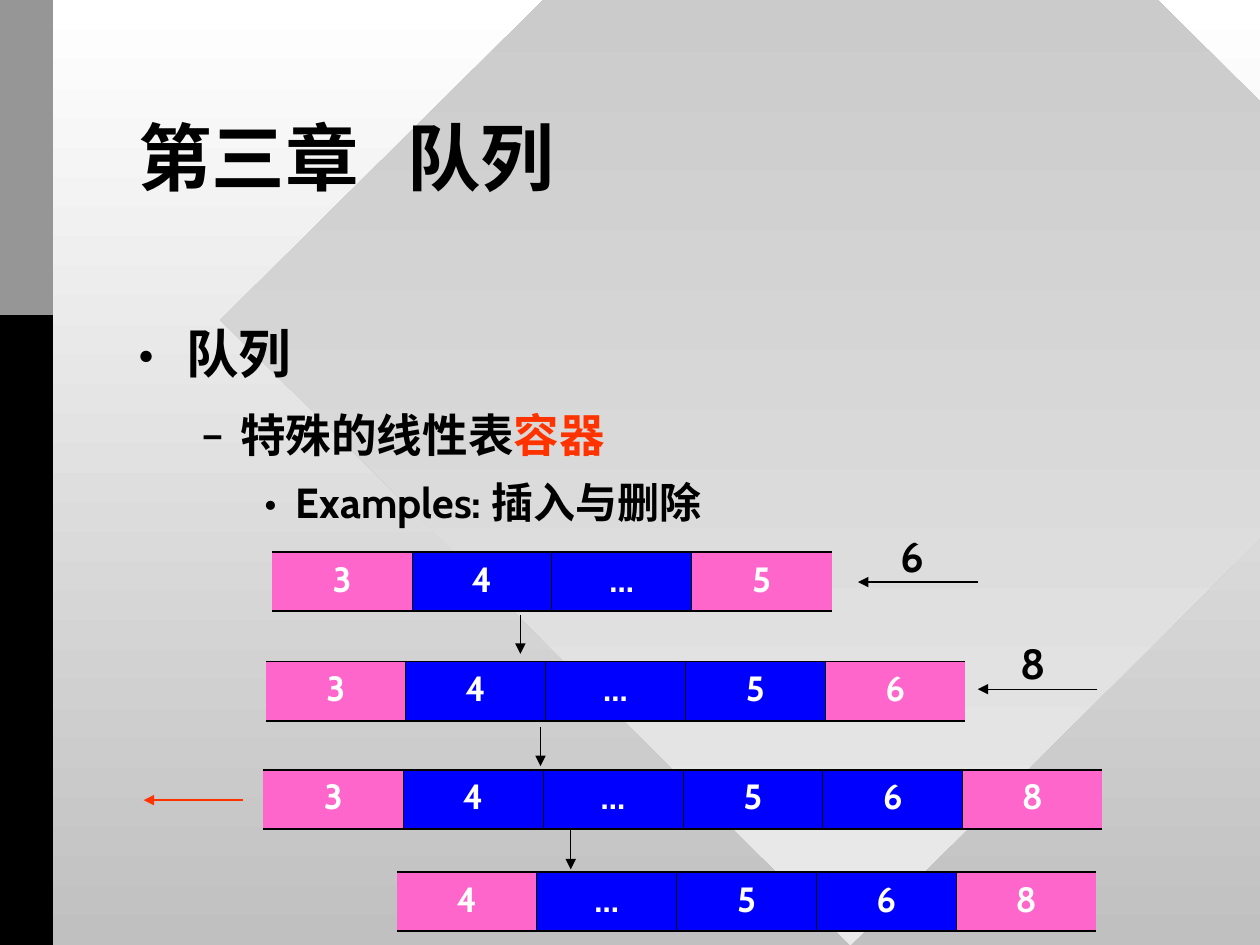
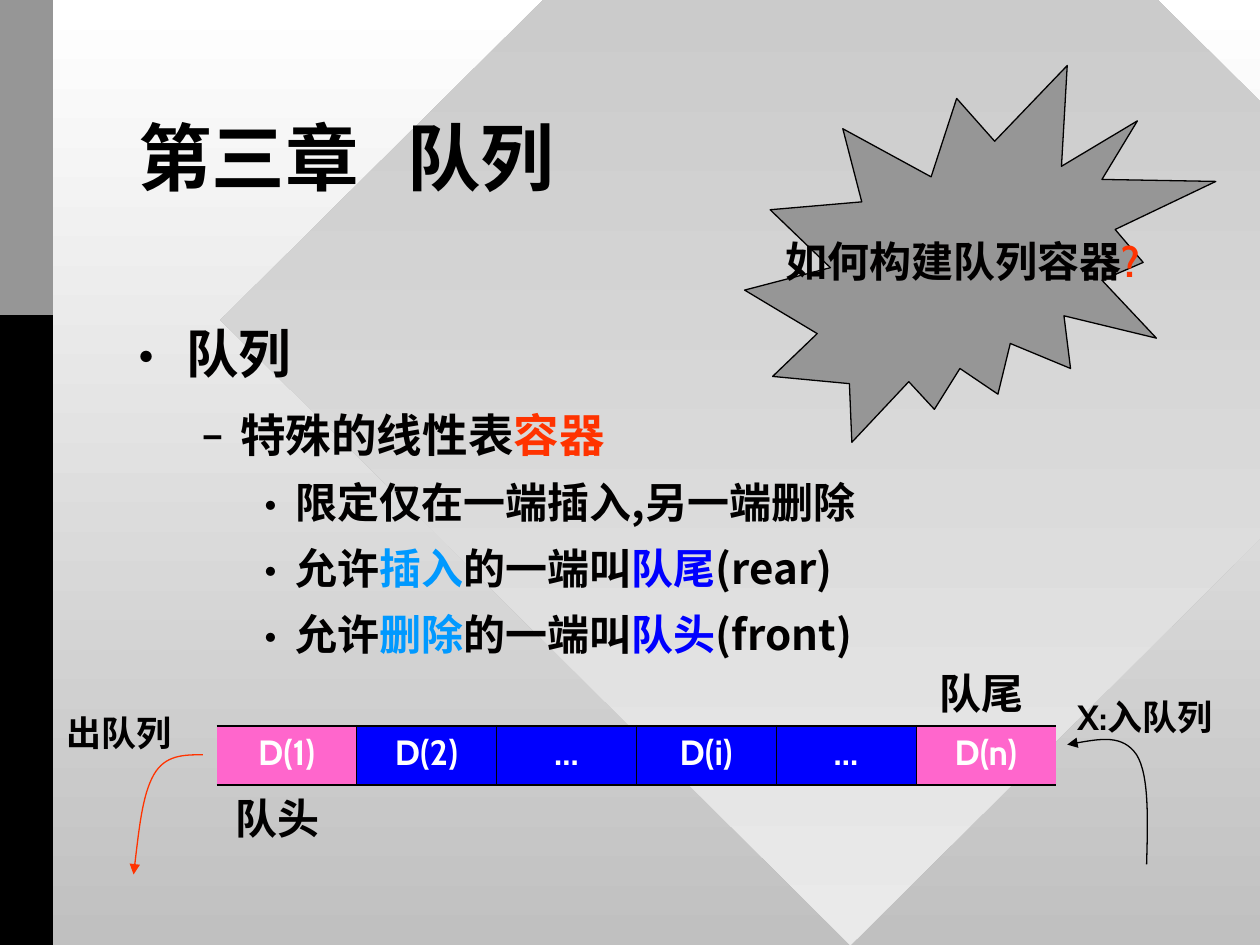
from lxml.etree import SubElement
from pptx import Presentation
from pptx.dml.color import RGBColor
from pptx.enum.shapes import MSO_CONNECTOR, MSO_SHAPE
from pptx.enum.text import MSO_ANCHOR, MSO_AUTO_SIZE, PP_ALIGN
from pptx.oxml.ns import qn
from pptx.util import Inches, Pt

# Shared look
INK, BLACK, WHITE = "010000", "000000", "FFFFFF"
SILVER, PALE, GREY = "C0C0C0", "EAEAEA", "969696"
RED, SKY, BLUE, PINK = "FF3300", "0099FF", "0000FF", "FF66CC"
FONT, CJK_FONT = "Cabin", "Noto Sans CJK SC"
CELL_WIDTH, CELL_HEIGHT = 1.11, 0.47

# Outline levels: bullet, left margin, hanging indent, size, space before, line spacing
LEVELS = [
    ("•", 0.38, 0.38, 30, 22.5, 1.0),
    ("–", 0.81, 0.31, 26, 13, 1.0),
    ("•", 1.25, 0.25, 24, 10.5, 0.95),
]
INTRO = [
    (0, [("队列", INK)]),
    (1, [("特殊的线性表", INK), ("容器", RED)]),
]


def rgb(color):
    return RGBColor.from_string(color)


# Text
def set_font(paragraph, size, color=INK, latin=FONT):
    font = paragraph.font
    font.size, font.bold, font.name = Pt(size), True, latin
    font.color.rgb = rgb(color)
    defaults = paragraph._p.get_or_add_pPr().find(qn("a:defRPr"))
    SubElement(defaults, qn("a:ea")).set("typeface", CJK_FONT)


def add_runs(paragraph, runs, base=INK):
    for text, color in runs:
        run = paragraph.add_run()
        run.text = text
        if color != base:
            run.font.color.rgb = rgb(color)


def add_title(slide, text):
    frame = slide.shapes.add_textbox(Inches(1), Inches(0.67), Inches(8), Inches(1.25)).text_frame
    frame.word_wrap = True
    frame.vertical_anchor = MSO_ANCHOR.MIDDLE
    heading = frame.paragraphs[0]
    heading.line_spacing = 0.85
    set_font(heading, 42, BLACK)
    add_runs(heading, [(text, BLACK)], BLACK)


def add_outline(slide, points, detail_font=FONT):
    frame = slide.shapes.add_textbox(Inches(1), Inches(2.5), Inches(8.25), Inches(4)).text_frame
    frame.word_wrap = True
    for index, (level, runs) in enumerate(points):
        point = frame.add_paragraph() if index else frame.paragraphs[0]
        bullet, margin, hanging, size, before, spacing = LEVELS[level]
        point.level = level
        point.space_before, point.line_spacing = Pt(before), spacing
        properties = point._p.get_or_add_pPr()
        properties.set("marL", str(Inches(margin)))
        properties.set("indent", str(-Inches(hanging)))
        SubElement(properties, qn("a:buFont")).set("typeface", FONT)
        SubElement(properties, qn("a:buChar")).set("char", bullet)
        set_font(point, size, latin=detail_font if level == 2 else FONT)
        add_runs(point, runs)


def add_label(slide, text, left, top, width, size=24):
    label = slide.shapes.add_textbox(Inches(left), Inches(top), Inches(width), Inches(size / 48))
    frame = label.text_frame
    frame.word_wrap = False
    frame.auto_size = MSO_AUTO_SIZE.SHAPE_TO_FIT_TEXT
    caption = frame.paragraphs[0]
    caption.space_before = Pt(size / 4)
    set_font(caption, size)
    add_runs(caption, [(text, INK)])


# Shapes
def set_gradient(fill, start, end):
    fill.gradient()
    fill.gradient_angle = 270
    for stop, color in zip(fill.gradient_stops, (start, end)):
        stop.color.rgb = rgb(color)


def add_block(slide, kind, left, top, width, height, color=None):
    block = slide.shapes.add_shape(kind, Inches(left), Inches(top), Inches(width), Inches(height))
    block.shadow.inherit = False
    block.line.fill.background()
    if color:
        block.fill.solid()
        block.fill.fore_color.rgb = rgb(color)
    return block


def add_burst(slide, runs):
    burst = add_block(slide, MSO_SHAPE.EXPLOSION2, 5.91, 0.52, 3.74, 2.99, GREY)
    burst.line.color.rgb, burst.line.width = rgb(INK), Pt(0.75)
    frame = burst.text_frame
    frame.word_wrap = False
    frame.vertical_anchor = MSO_ANCHOR.MIDDLE
    question = frame.paragraphs[0]
    question.alignment, question.space_before = PP_ALIGN.CENTER, Pt(6)
    set_font(question, 24)
    # The shape's own text colour is white, so each run states its colour
    add_runs(question, runs, base=None)


# Arrows
def style_arrow(arrow, color):
    arrow.line.color.rgb, arrow.line.width = rgb(color), Pt(0.75)
    SubElement(arrow.element.spPr.find(qn("a:ln")), qn("a:tailEnd")).set("type", "triangle")


def add_arrow(slide, x1, y1, x2, y2, color=INK):
    arrow = slide.shapes.add_connector(
        MSO_CONNECTOR.STRAIGHT, Inches(x1), Inches(y1), Inches(x2), Inches(y2))
    style_arrow(arrow, color)
    SubElement(arrow.element.spPr, qn("a:effectLst"))


def add_curved_arrow(slide, points, color):
    """Draw a Bezier arrow: a start point, then three points per segment."""
    start, *others = [(Inches(x), Inches(y)) for x, y in points]
    builder = slide.shapes.build_freeform(*start)
    builder.add_line_segments(others, close=False)
    arrow = builder.convert_to_shape()
    arrow.fill.background()
    arrow.shadow.inherit = False
    style_arrow(arrow, color)
    outline = next(arrow.element.iter(qn("a:path")))
    steps = outline.findall(qn("a:lnTo"))
    for first in range(0, len(steps), 3):
        curve = SubElement(outline, qn("a:cubicBezTo"))
        for step in steps[first:first + 3]:
            curve.append(step[0])
            outline.remove(step)


# Queue drawn as a one-row table
def set_border(cell, side, width):
    border = SubElement(cell._tc.get_or_add_tcPr(), qn(f"a:ln{side}"))
    if not width:
        SubElement(border, qn("a:noFill"))
        return
    border.set("w", str(Pt(width)))
    ink = SubElement(border, qn("a:solidFill"))
    SubElement(ink, qn("a:srgbClr")).set("val", INK)


def add_queue(slide, items, left, top):
    count = len(items)
    queue = slide.shapes.add_table(
        1, count, Inches(left), Inches(top),
        Inches(CELL_WIDTH * count), Inches(CELL_HEIGHT)).table
    queue.first_row = queue.horz_banding = False
    for index, item in enumerate(items):
        is_front, is_rear = index == 0, index == count - 1
        queue.columns[index].width = Inches(CELL_WIDTH)
        cell = queue.cell(0, index)
        set_border(cell, "L", 0 if is_front else 0.45)
        set_border(cell, "R", 0 if is_rear else 0.45)
        set_border(cell, "T", 1.08)
        set_border(cell, "B", 1.08)
        cell.fill.solid()
        cell.fill.fore_color.rgb = rgb(PINK if is_front or is_rear else BLUE)
        value = cell.text_frame.paragraphs[0]
        value.alignment, value.space_before = PP_ALIGN.CENTER, Pt(15)
        set_font(value, 20, WHITE)
        add_runs(value, [(item, WHITE)], WHITE)


# Slides
def add_chapter_slide(deck):
    slide = deck.slides.add_slide(deck.slide_layouts[6])
    set_gradient(slide.background.fill, WHITE, SILVER)
    diamond = add_block(slide, MSO_SHAPE.DIAMOND, 1.75, -2.42, 10, 9.92)
    set_gradient(diamond.fill, SILVER, PALE)
    add_block(slide, MSO_SHAPE.RECTANGLE, 0, 0, 0.42, 7.5, BLACK)
    add_block(slide, MSO_SHAPE.RECTANGLE, 0, 0, 0.42, 2.5, GREY)
    add_title(slide, "第三章\t 队列")
    return slide


def add_example_slide(deck):
    slide = add_chapter_slide(deck)
    add_outline(slide, INTRO + [(2, [("Examples: 插入与删除", INK)])])

    # Successive states of the queue
    add_queue(slide, "34…5", 2.16, 4.38)
    add_queue(slide, "34…56", 2.11, 5.25)
    add_queue(slide, "34…568", 2.09, 6.11)
    add_queue(slide, "4…568", 3.15, 6.92)
    for x, y in [(4.13, 4.88), (4.29, 5.77), (4.53, 6.59)]:
        add_arrow(slide, x, y, x, y + 0.31)

    # Elements entering and leaving
    for item, left, top in [("6", 7.05, 4.16), ("8", 8, 5.01)]:
        add_label(slide, item, left, top, 0.39)
        add_arrow(slide, left + 0.71, top + 0.46, left - 0.24, top + 0.46)
    add_arrow(slide, 1.93, 6.35, 1.14, 6.35, RED)


def add_definition_slide(deck):
    slide = add_chapter_slide(deck)
    rules = [[("限定仅在一端插入,另一端删除", INK)]]
    for action, end, english in [("插入", "队尾", "(rear)"), ("删除", "队头", "(front)")]:
        rules.append([("允许", INK), (action, SKY), ("的一端叫", INK), (end, BLUE), (english, INK)])
    add_outline(slide, INTRO + [(2, rule) for rule in rules], CJK_FONT)

    # Queue with its two ends
    add_queue(slide, ["D(1)", "D(2)", "…", "D(i)", "…", "D(n)"], 1.72, 5.76)
    add_curved_arrow(slide, [
        (1.61, 5.99), (1.46, 5.99), (1.31, 5.99), (1.22, 6.15),
        (1.13, 6.31), (1.1, 6.62), (1.06, 6.94)], RED)
    add_curved_arrow(slide, [
        (9.1, 6.86), (9.11, 6.5), (9.12, 6.15), (9.02, 5.99),
        (8.91, 5.83), (8.69, 5.87), (8.47, 5.91)], INK)
    add_label(slide, "队尾", 7.36, 5.25, 0.9)
    add_label(slide, "队头", 1.77, 6.24, 0.9)
    add_burst(slide, [("如何构建队列容器", INK), ("?", RED)])
    add_label(slide, "X:入队列", 8.45, 5.47, 1.4, 20)
    add_label(slide, "出队列", 0.43, 5.6, 1.08, 20)


def main():
    deck = Presentation()
    deck.slide_width, deck.slide_height = Inches(10), Inches(7.5)
    add_example_slide(deck)
    add_definition_slide(deck)
    deck.save("out.pptx")


if __name__ == "__main__":
    main()
